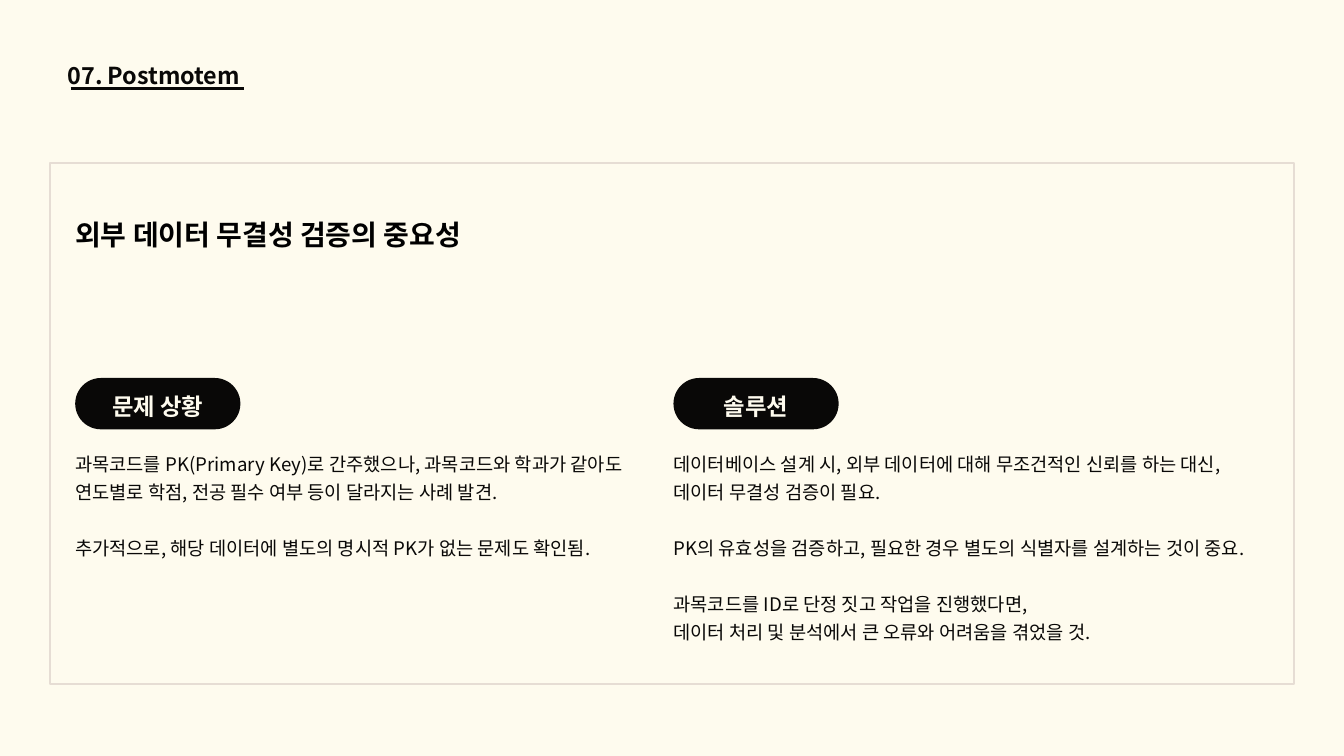
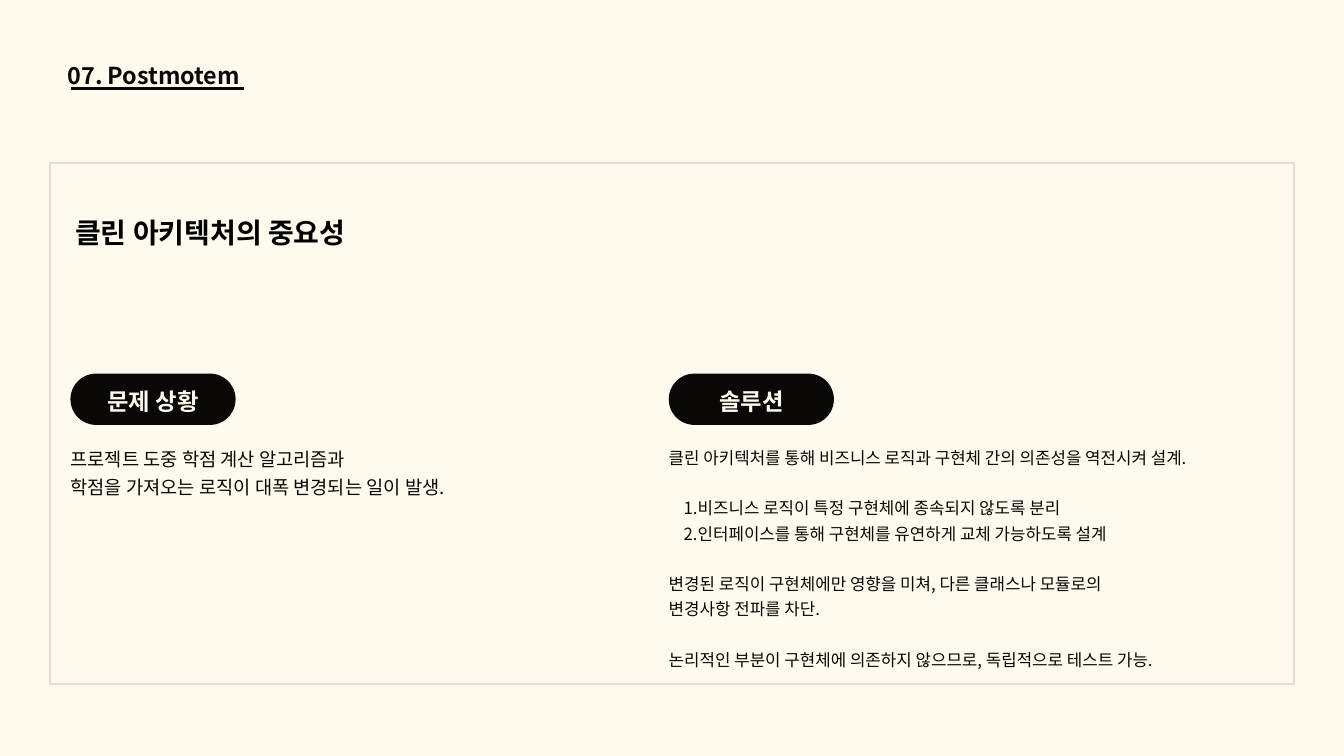
from dataclasses import dataclass

from lxml.etree import SubElement as Sub
from pptx import Presentation
from pptx.dml.color import RGBColor as Rgb
from pptx.enum.shapes import MSO_CONNECTOR as Link, MSO_SHAPE as Kind
from pptx.enum.text import MSO_ANCHOR as Anchor, PP_ALIGN as Align
from pptx.oxml.ns import qn
from pptx.util import Pt

COLOR = {"paper": "FEFBEE", "ink": "090807", "black": "000000", "frame": "E6DDD4"}
SANS, KOREAN = "Noto Sans CJK SC", "Noto Sans CJK KR"
COL_GAP = 641  # from the left column to the right one
BODY_DROP = 74  # from the top of a pill to its text


@dataclass(frozen=True)
class Style:
    size: float
    lead: float
    font: str = KOREAN
    color: str = "ink"
    bold: bool = False


@dataclass(frozen=True)
class Line:
    text: str
    gap: bool = False  # one line of space above
    item: bool = False  # numbered


@dataclass(frozen=True)
class Column:
    label: str
    style: Style
    wide: float
    high: float
    lines: list[Line]


@dataclass(frozen=True)
class Page:
    head: str
    head_top: float
    left: float
    top: float
    cols: list[Column]


TITLE = Style(25, 35, SANS, bold=True)
LABEL = Style(25, 35, SANS, "paper", True)
HEAD = Style(30, 42, KOREAN, "black", True)
BODY = Style(20, 30)
SMALL = Style(18, 27)

PAGES = [
    Page("외부 데이터 무결성 검증의 중요성", 227.5, 80.6, 405, [
        Column("문제 상황", BODY, 588, 119, [
            Line("과목코드를 PK(Primary Key)로 간주했으나, 과목코드와 학과가 "
                 "같아도 연도별로 학점, 전공 필수 여부 등이 달라지는 사례 발견."),
            Line("추가적으로, 해당 데이터에 별도의 명시적 PK가 없는 문제도 확인됨.", gap=True),
        ]),
        Column("솔루션", BODY, 620, 238, [
            Line("데이터베이스 설계 시, 외부 데이터에 대해 무조건적인 신뢰를 하는 대신,"),
            Line("데이터 무결성 검증이 필요."),
            Line("PK의 유효성을 검증하고, 필요한 경우 별도의 식별자를 설계하는 것이 중요.", gap=True),
            Line("과목코드를 ID로 단정 짓고 작업을 진행했다면,", gap=True),
            Line("데이터 처리 및 분석에서 큰 오류와 어려움을 겪었을 것."),
        ]),
    ]),
    Page("클린 아키텍처의 중요성", 225.4, 75.5, 400.3, [
        Column("문제 상황", BODY, 588, 89, [
            Line("프로젝트 도중 학점 계산 알고리즘과"),
            Line("학점을 가져오는 로직이 대폭 변경되는 일이 발생."),
        ]),
        Column("솔루션", SMALL, 620, 241, [
            Line("클린 아키텍처를 통해 비즈니스 로직과 구현체 간의 의존성을 역전시켜 설계."),
            Line("비즈니스 로직이 특정 구현체에 종속되지 않도록 분리", gap=True, item=True),
            Line("인터페이스를 통해 구현체를 유연하게 교체 가능하도록 설계", item=True),
            Line("변경된 로직이 구현체에만 영향을 미쳐, 다른 클래스나 모듈로의", gap=True),
            Line("변경사항 전파를 차단."),
            Line("논리적인 부분이 구현체에 의존하지 않으므로, 독립적으로 테스트 가능.", gap=True),
        ]),
    ]),
]


def shade(name: str) -> Rgb:
    return Rgb.from_string(COLOR[name])


def number(para) -> None:
    """Number the paragraph, with a hanging indent."""
    props = para._p.get_or_add_pPr()
    props.set("marL", str(Pt(31)))
    props.set("indent", str(-Pt(15)))
    Sub(props, qn("a:buFont"), typeface=KOREAN)
    Sub(props, qn("a:buAutoNum"), type="arabicPeriod")


def write(frame, lines: list[Line], style: Style, align=Align.LEFT) -> None:
    frame.word_wrap = True
    frame.margin_left = frame.margin_right = 0
    frame.margin_top = frame.margin_bottom = 0
    frame.text = "\n".join(line.text for line in lines)
    for para, line in zip(frame.paragraphs, lines):
        para.alignment = align
        para.line_spacing = Pt(style.lead)
        if line.gap:
            para.space_before = Pt(style.lead)
        if line.item:
            number(para)
        for run in para.runs:
            font = run.font
            font.size, font.bold, font.name = Pt(style.size), style.bold, style.font
            font.color.rgb = shade(style.color)
            Sub(run._r.get_or_add_rPr(), qn("a:ea"), typeface=style.font)


def add_text(slide, x: float, y: float, wide: float, high: float,
             lines: list[Line], style: Style) -> None:
    box = slide.shapes.add_textbox(Pt(x), Pt(y), Pt(wide), Pt(high))
    write(box.text_frame, lines, style)


def add_base(slide) -> None:
    """Draw what all slides share: paper, title, rule and frame."""
    fill = slide.background.fill
    fill.solid()
    fill.fore_color.rgb = shade("paper")

    rule = slide.shapes.add_connector(Link.STRAIGHT, Pt(75.6), Pt(95), Pt(261.4), Pt(95))
    rule.line.color.rgb, rule.line.width = shade("ink"), Pt(3)
    Sub(rule._element.spPr, qn("a:effectLst"))

    frame = slide.shapes.add_shape(Kind.RECTANGLE, Pt(54), Pt(175), Pt(1332), Pt(558))
    frame.shadow.inherit = False
    frame.fill.background()
    frame.line.color.rgb, frame.line.width = shade("frame"), Pt(2.25)

    add_text(slide, 72.5, 60.5, 189, 33, [Line("07. Postmotem")], TITLE)


def add_pill(slide, x: float, y: float, label: str) -> None:
    pill = slide.shapes.add_shape(Kind.ROUNDED_RECTANGLE, Pt(x), Pt(y), Pt(177), Pt(55))
    pill.adjustments[0] = 0.5
    pill.shadow.inherit = False
    pill.fill.solid()
    pill.fill.fore_color.rgb = shade("ink")
    pill.line.fill.background()
    pill.text_frame.vertical_anchor = Anchor.MIDDLE
    write(pill.text_frame, [Line(label)], LABEL, Align.CENTER)


def add_page(deck, page: Page) -> None:
    slide = deck.slides.add_slide(deck.slide_layouts[6])
    add_base(slide)
    add_text(slide, 80.6, page.head_top, 474, 40, [Line(page.head)], HEAD)
    for i, col in enumerate(page.cols):
        x = page.left + i * COL_GAP
        add_pill(slide, x, page.top, col.label)
        add_text(slide, x, page.top + BODY_DROP, col.wide, col.high, col.lines, col.style)


def main() -> None:
    deck = Presentation()
    deck.slide_width, deck.slide_height = Pt(1440), Pt(810)
    for page in PAGES:
        add_page(deck, page)
    deck.save("out.pptx")


if __name__ == "__main__":
    main()
